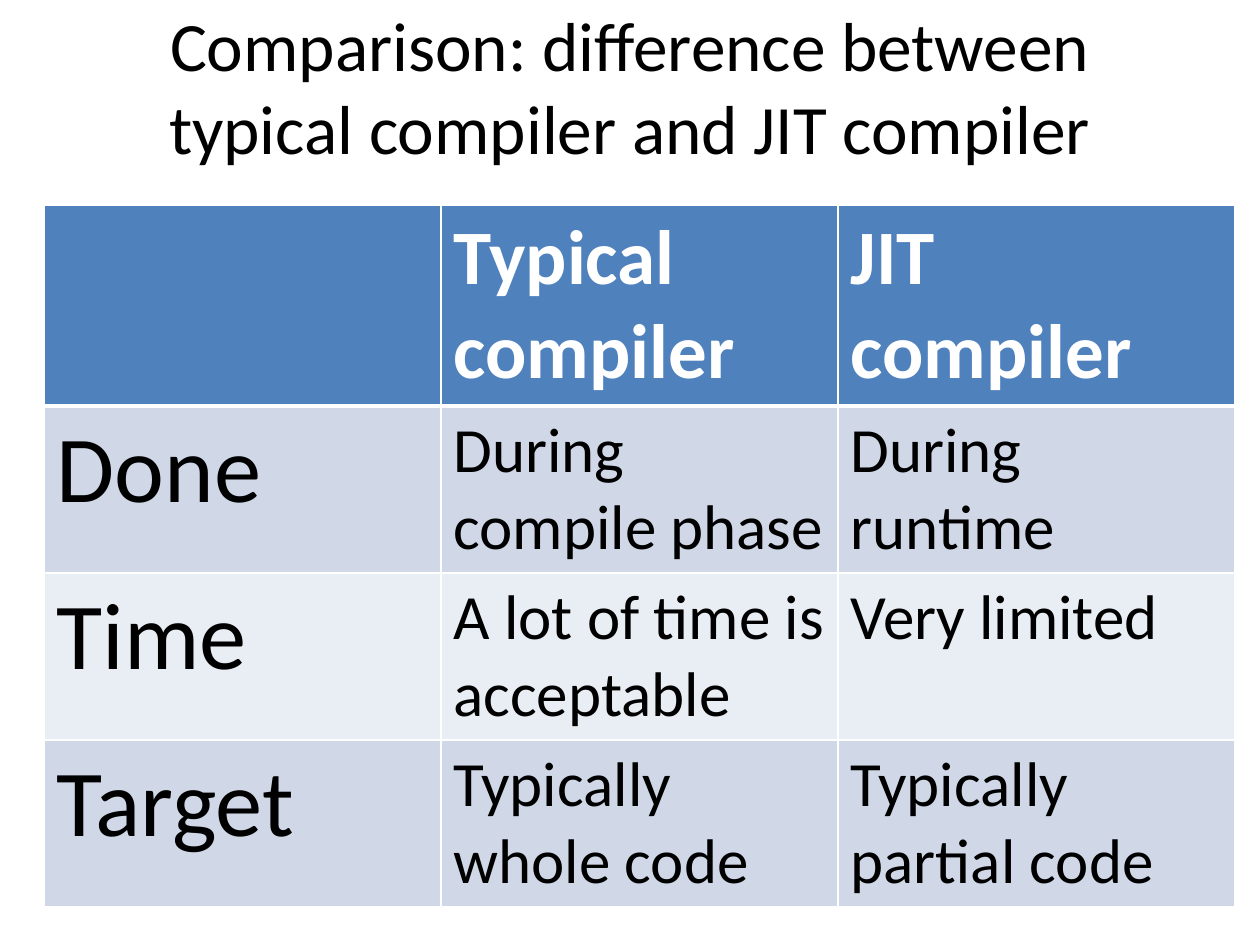
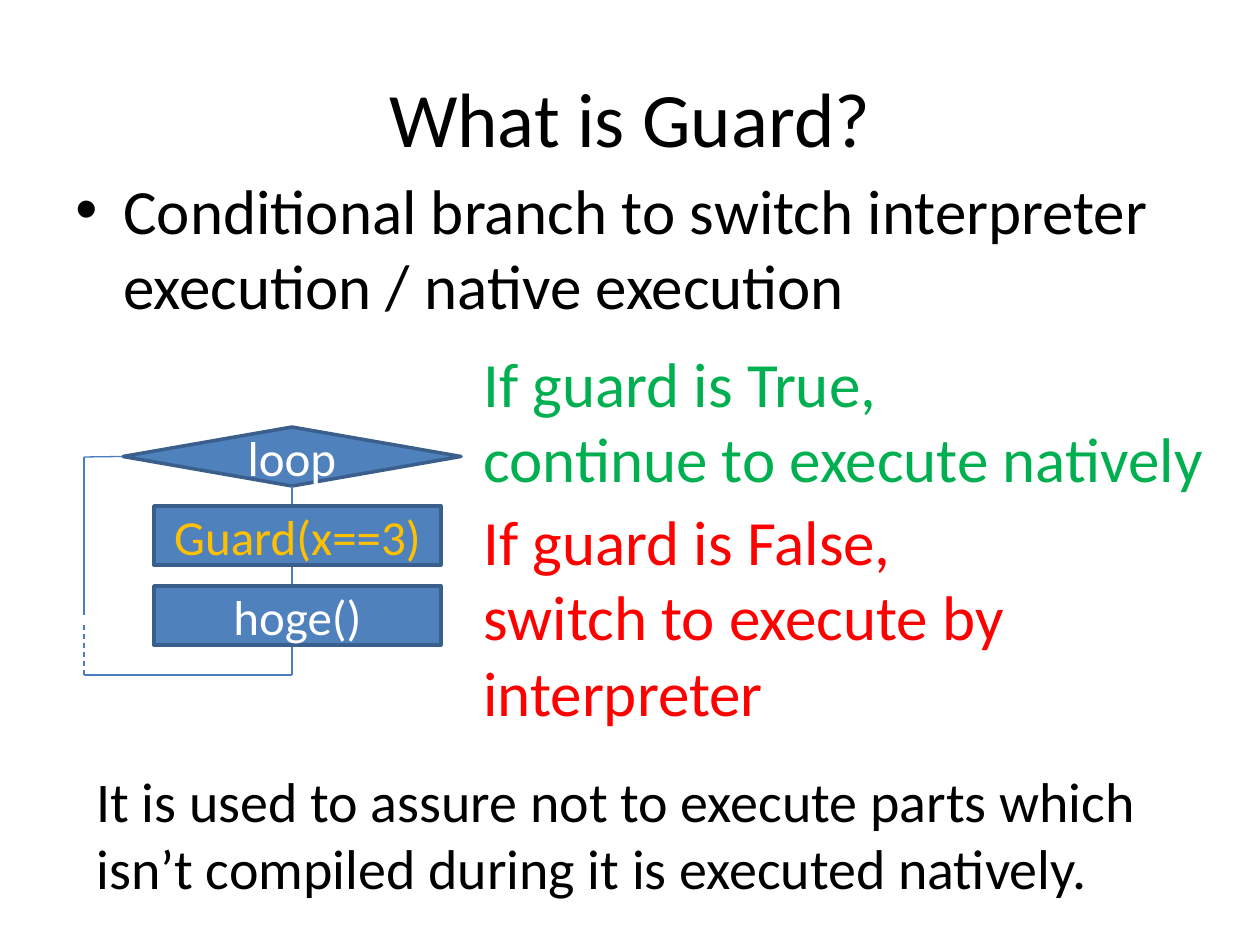
from dataclasses import dataclass
from lxml import etree
from pptx import Presentation
from pptx import util as u
from pptx.dml.color import RGBColor
from pptx.enum import dml, shapes, text
from pptx.oxml import ns

SCALE = 914400 / 126


@dataclass(frozen=True)
class Theme:
    font: str = "Calibri"
    ink: str = "000000"
    paper: str = "FFFFFF"
    blue: str = "4F81BD"
    edge: str = "3A5F8C"
    wire: str = "4B7EBC"
    bands: tuple = ("D0D8E8", "E9EDF4")
    amber: str = "FFC000"
    green: str = "00B050"
    red: str = "FF0000"
    title: float = 44
    tight: float = 39.6
    label: float = 54
    body: float = 36
    note: float = 32
    node: float = 28


T = Theme()

ROWS = [
    ["", "Typical compiler", "JIT compiler"],
    ["Done", "During compile phase", "During runtime"],
    ["Time", "A lot of time is acceptable", "Very limited"],
    ["Target", "Typically whole code", "Typically partial code"],
]


def px(n):
    return u.Emu(round(n * SCALE))


def rgb(code):
    return RGBColor.from_string(code)


def paint(part, code):
    part.fill.solid()
    part.fill.fore_color.rgb = rgb(code)


def write(frame, lines, size, color, align=None, bold=False):
    for i, line in enumerate(lines):
        para = frame.paragraphs[0] if i == 0 else frame.add_paragraph()
        para.alignment = align
        run = para.add_run()
        run.text = line
        font = run.font
        font.name, font.size, font.bold = T.font, u.Pt(size), bold
        font.color.rgb = rgb(color)


def start(deck, title, box, size):
    """Add a title-only slide and set its title."""
    slide = deck.slides.add_slide(deck.slide_layouts[5])
    head = slide.shapes.title
    head.left, head.top, head.width, head.height = map(px, box)
    frame = head.text_frame
    frame.auto_size = text.MSO_AUTO_SIZE.NONE
    frame.vertical_anchor = text.MSO_ANCHOR.MIDDLE
    write(frame, [title], size, T.ink, text.PP_ALIGN.CENTER)
    return slide


def border(cell, widths):
    """Set white borders, given in points as left, right, top, bottom."""
    props = cell._tc.get_or_add_tcPr()
    for i, (side, width) in enumerate(zip("LRTB", widths)):
        line = etree.Element(ns.qn(f"a:ln{side}"), w=str(u.Pt(width)))
        fill = etree.SubElement(line, ns.qn("a:solidFill"))
        etree.SubElement(fill, ns.qn("a:srgbClr"), val=T.paper)
        props.insert(i, line)


def grid(slide, rows, box, heights):
    table = slide.shapes.add_table(len(rows), len(rows[0]), *map(px, box)).table
    for col in table.columns:
        col.width = px(box[2] / len(rows[0]))
    for r, row in enumerate(rows):
        table.rows[r].height = px(heights[r])
        head = r == 0
        for c, words in enumerate(row):
            cell = table.cell(r, c)
            paint(cell, T.blue if head else T.bands[(r - 1) % 2])
            border(cell, (1, 1, 3 if r == 1 else 1, 3 if head else 1))
            if words:
                size = T.title if head else T.body if c else T.label
                write(cell.text_frame, [words], size,
                      T.paper if head else T.ink, bold=head)


def note(slide, box, lines, size, color, wrap=True):
    frame = slide.shapes.add_textbox(*map(px, box)).text_frame
    frame.word_wrap = wrap
    frame.auto_size = text.MSO_AUTO_SIZE.SHAPE_TO_FIT_TEXT
    write(frame, lines, size, color)
    return frame


def bullet(para, indent):
    props = para._p.get_or_add_pPr()
    props.set("marL", str(px(indent)))
    props.set("indent", str(-px(indent)))
    etree.SubElement(props, ns.qn("a:buFont"), typeface="Arial")
    etree.SubElement(props, ns.qn("a:buChar"), char="•")


def node(slide, kind, box, words, color):
    shape = slide.shapes.add_shape(kind, *map(px, box))
    shape.shadow.inherit = False
    paint(shape, T.blue)
    shape.line.color.rgb = rgb(T.edge)
    shape.line.width = u.Pt(2)
    shape.text_frame.vertical_anchor = text.MSO_ANCHOR.MIDDLE
    write(shape.text_frame, [words], T.node, color, text.PP_ALIGN.CENTER)
    return shape


def wire(slide, x1, y1, x2, y2, dash=False):
    line = slide.shapes.add_connector(
        shapes.MSO_CONNECTOR.STRAIGHT, *map(px, (x1, y1, x2, y2)))
    line.line.color.rgb = rgb(T.wire)
    line.line.width = u.Pt(0.75)
    if dash:
        line.line.dash_style = dml.MSO_LINE.DASH
    etree.SubElement(line._element.spPr, ns.qn("a:effectLst"))
    return line


def flow(slide, box):
    """Draw the guarded loop inside the box."""
    x, y, w, h = box
    tall, step = 59, 80
    kind = shapes.MSO_SHAPE
    wide = w - 39
    stem, mid, base = x + 39 + wide // 2, y + 30, y + h
    guard, call = y + step - 1, y + 2 * step - 1
    loop = node(slide, kind.FLOWCHART_DECISION,
                (x + 39, y, wide, tall), "loop", T.paper)
    wire(slide, stem, y + tall, stem, guard).begin_connect(loop, 2)
    wire(slide, stem, guard + tall, stem, call)
    wire(slide, x, mid, x, base - 60)
    wire(slide, x, base - 50, x, base, dash=True)
    wire(slide, x, mid, x + 39, mid).end_connect(loop, 1)
    wire(slide, stem, base, x, base)
    wire(slide, stem, call + tall, stem, base)
    for top, words, color in ((guard, "Guard(x==3)", T.amber),
                              (call, "hoge()", T.paper)):
        node(slide, kind.RECTANGLE, (x + 70, top, 287, tall), words, color)


def compare(deck):
    slide = start(deck, "Comparison: difference between typical compiler "
                  "and JIT compiler", (63, 6, 1134, 158), T.tight)
    grid(slide, ROWS, (44, 205, 1191, 700), (199, 167, 167, 167))


def guards(deck):
    slide = start(deck, "What is Guard?", (63, 38, 1134, 158), T.title)
    lead = note(slide, (63, 165, 1134, 163),
                ["Conditional branch to switch interpreter execution / "
                 "native execution"], T.body, T.ink)
    bullet(lead.paragraphs[0], 48)
    flow(slide, (84, 427, 377, 248))
    note(slide, (471, 338, 752, 165),
         ["If guard is True,", "continue to execute natively"],
         T.body, T.green, wrap=False)
    note(slide, (471, 496, 564, 242),
         ["If guard is False,", "switch to execute by", "interpreter"],
         T.body, T.red, wrap=False)
    note(slide, (84, 760, 1101, 149),
         ["It is used to assure not to execute parts which isn’t compiled "
          "during it is executed natively."], T.note, T.ink)


def main():
    deck = Presentation()
    deck.slide_width, deck.slide_height = px(1260), px(945)
    compare(deck)
    guards(deck)
    deck.save("out.pptx")


if __name__ == "__main__":
    main()
